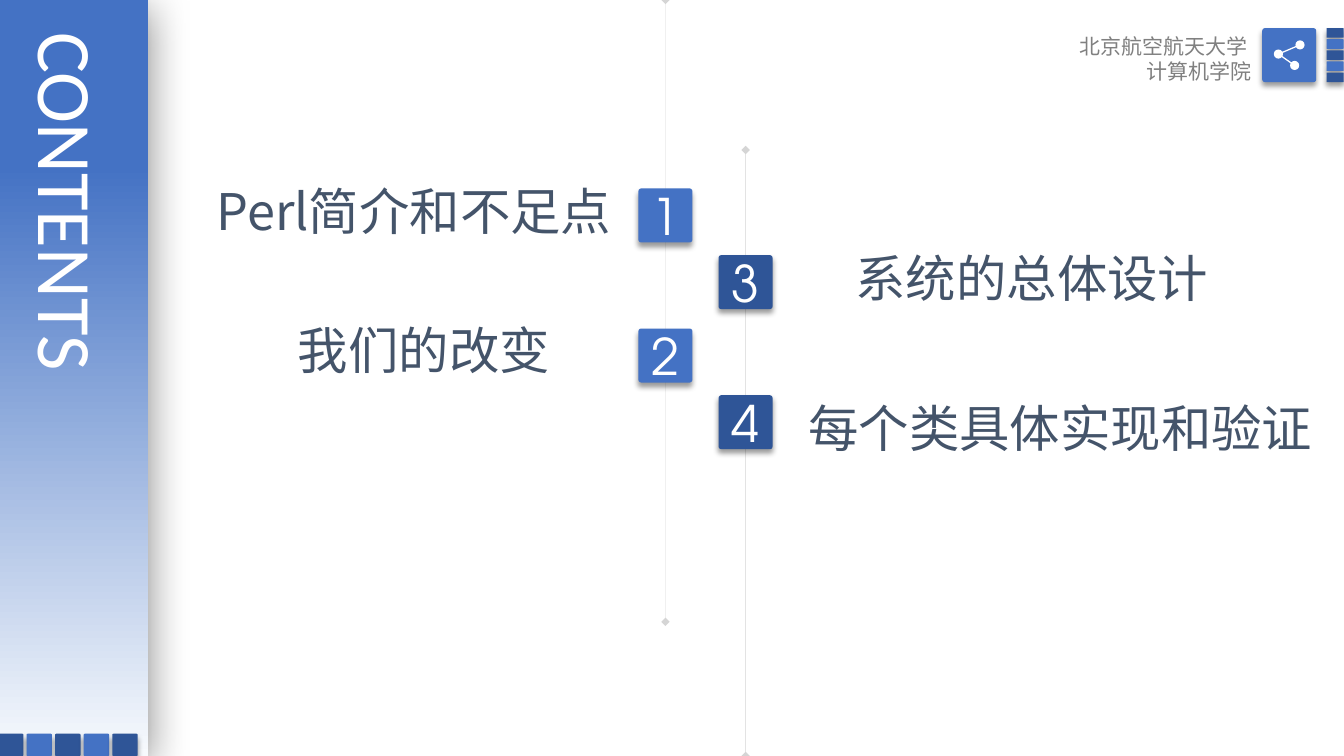
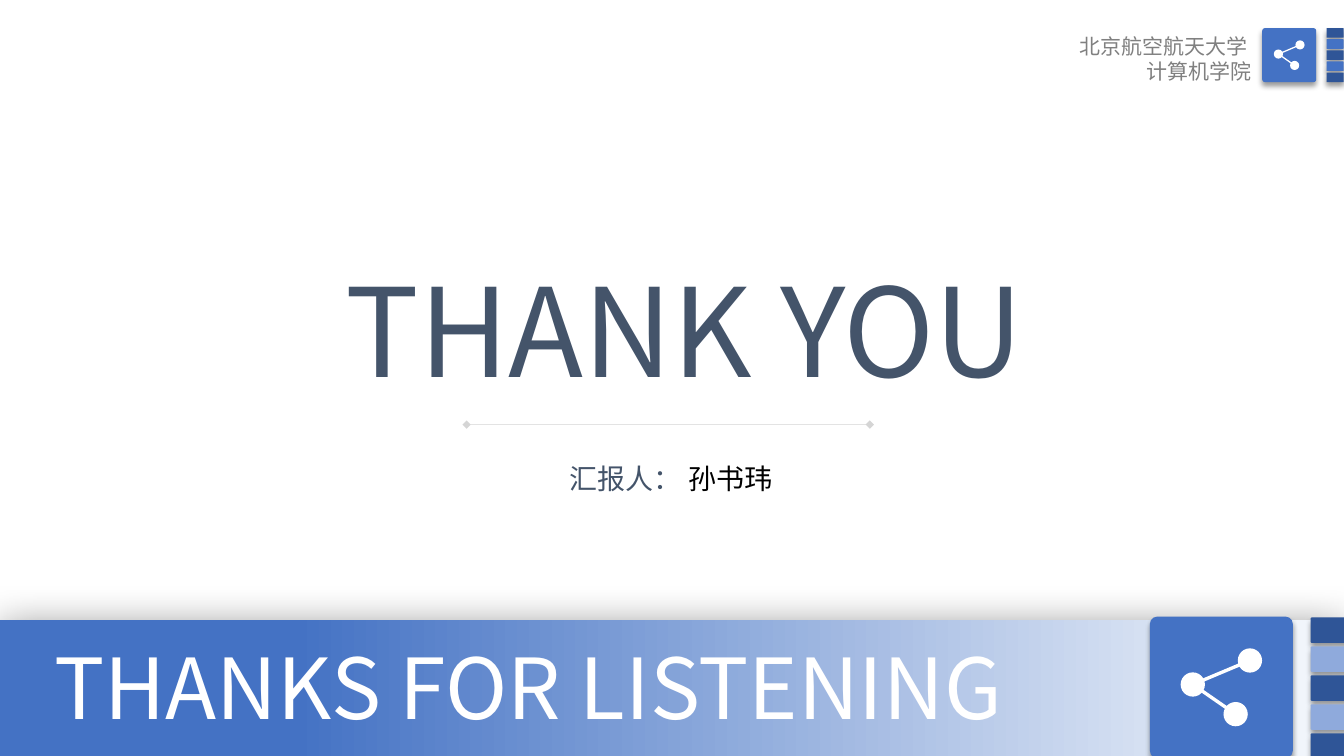
from lxml import etree
from pptx import Presentation
from pptx.dml.color import RGBColor
from pptx.enum.shapes import MSO_CONNECTOR, MSO_SHAPE
from pptx.enum.text import MSO_ANCHOR, MSO_AUTO_SIZE, PP_ALIGN
from pptx.oxml.ns import qn
from pptx.util import Cm, Pt

LEFT, CENTER, RIGHT = PP_ALIGN.LEFT, PP_ALIGN.CENTER, PP_ALIGN.RIGHT
TOP, MIDDLE = MSO_ANCHOR.TOP, MSO_ANCHOR.MIDDLE
NO_AUTOFIT = MSO_AUTO_SIZE.NONE
RECTANGLE, ROUNDED = MSO_SHAPE.RECTANGLE, MSO_SHAPE.ROUNDED_RECTANGLE
OVAL, STRAIGHT = MSO_SHAPE.OVAL, MSO_CONNECTOR.STRAIGHT

SLIDE_WIDTH, SLIDE_HEIGHT = 33.87, 19.05
TITLE_SLIDE_LAYOUT, TITLE_ONLY_LAYOUT = 0, 5
COLORS = {
    "blue": "4472C4",
    "dark": "2F5597",
    "light": "8FAADC",
    "fade": "F7FAFD",
    "text": "44546A",
    "gray": "808080",
    "white": "FFFFFF",
    "black": "000000",
}
CJK_FONT, NUMBER_FONT = "Noto Sans CJK SC", "TeX Gyre Adventor"
INSETS = (0.25, 0.13)
TILE_SHADOW = {"alpha": 40, "blur": 4, "distance": 3, "direction": 90}
BAND_SHADOW = {"alpha": 50, "blur": 31, "distance": 6, "direction": 97}
TILE_SIZE = 1.36
ICON_NODES = [(0.3, 0.48), (0.7, 0.31), (0.6, 0.69)]
ICON_NODE_SIZE = 0.17


def color(name):
    return RGBColor.from_string(COLORS[name])


def add_child(parent, tag, **attributes):
    child = etree.SubElement(parent, qn(tag))
    for name, value in attributes.items():
        child.set(name, str(value))
    return child


def set_shadow(shape, alpha, blur, distance, direction):
    shape.shadow.inherit = False
    effects = shape.element.spPr.find(qn("a:effectLst"))
    shadow = add_child(effects, "a:outerShdw", blurRad=Pt(blur), dist=Pt(distance),
                       dir=direction * 60000, algn="ctr", rotWithShape=0)
    shadow_color = add_child(shadow, "a:srgbClr", val=COLORS["black"])
    add_child(shadow_color, "a:alpha", val=alpha * 1000)


def format_run(run, size, color_name, font=CJK_FONT):
    run.font.size = Pt(size)
    run.font.color.rgb = color(color_name)
    run.font.name = font


def set_east_asian_font(shape):
    for properties in shape.element.iter(qn("a:rPr")):
        add_child(properties, "a:ea", typeface=CJK_FONT)


def write_text(shape, text, size, color_name, font=CJK_FONT, align=LEFT, anchor=TOP, insets=INSETS):
    frame = shape.text_frame
    frame.text = text
    frame.word_wrap = True
    frame.auto_size = NO_AUTOFIT
    frame.vertical_anchor = anchor
    frame.margin_left = frame.margin_right = Cm(insets[0])
    frame.margin_top = frame.margin_bottom = Cm(insets[1])
    for paragraph in frame.paragraphs:
        paragraph.alignment = align
        paragraph.space_before = Pt(0)
        for run in paragraph.runs:
            format_run(run, size, color_name, font)
    set_east_asian_font(shape)


def place(shape, left, top, width, height):
    shape.left, shape.top = Cm(left), Cm(top)
    shape.width, shape.height = Cm(width), Cm(height)


def bring_to_front(shape):
    shape.element.getparent().append(shape.element)


def add_text(slide, box, text, size, color_name, **style):
    shape = slide.shapes.add_textbox(*map(Cm, box))
    write_text(shape, text, size, color_name, **style)


def add_plain_shape(slide, kind, box, color_name):
    shape = slide.shapes.add_shape(kind, *map(Cm, box))
    shape.fill.solid()
    shape.fill.fore_color.rgb = color(color_name)
    shape.line.fill.background()
    shape.shadow.inherit = False
    return shape


def add_tile(slide, box, color_name):
    tile = add_plain_shape(slide, ROUNDED, box, color_name)
    tile.adjustments[0] = 0.05
    set_shadow(tile, **TILE_SHADOW)
    return tile


def add_tile_row(slide, box, step_x, step_y, color_names):
    left, top, width, height = box
    for index in range(5):
        tile_box = (left + index * step_x, top + index * step_y, width, height)
        add_tile(slide, tile_box, color_names[index % 2])


def add_line(slide, start, end, color_name, width):
    line = slide.shapes.add_connector(STRAIGHT, *map(Cm, start + end))
    line.line.color.rgb = color(color_name)
    line.line.width = Pt(width)
    add_child(line.element.spPr, "a:effectLst")
    return line


def add_diamond_line(slide, start, end):
    line = add_line(slide, start, end, "gray", 0.25)
    outline = line.element.spPr.find(qn("a:ln"))
    add_child(outline.find(".//" + qn("a:srgbClr")), "a:alpha", val=33000)
    add_child(outline, "a:headEnd", type="diamond")
    add_child(outline, "a:tailEnd", type="diamond")


def add_share_icon(slide, box):
    left, top, width, height = box
    add_tile(slide, box, "blue")
    centers = [(left + x * width, top + y * height) for x, y in ICON_NODES]
    for center in centers[1:]:
        add_line(slide, centers[0], center, "white", round(0.66 * width, 1))
    size = ICON_NODE_SIZE * width
    for x, y in centers:
        add_plain_shape(slide, OVAL, (x - size / 2, y - size / 2, size, size), "white")


def add_band(slide, box, angle):
    band = add_plain_shape(slide, RECTANGLE, box, "blue")
    band.fill.gradient()
    band.fill.gradient_angle = angle
    for stop, name, position in zip(band.fill.gradient_stops, ("fade", "blue"), (0, 0.78)):
        stop.color.rgb = color(name)
        stop.position = position
    set_shadow(band, **BAND_SHADOW)


def add_header(slide, left, top):
    add_tile_row(slide, (left + 7.65, top, 0.43, 0.24), 0, 0.28, ("dark", "blue"))
    add_share_icon(slide, (left + 6.03, top, TILE_SIZE, TILE_SIZE))
    add_text(slide, (left, top, 6.02, 1.6), "北京航空航天大学 \n计算机学院", 15, "gray", align=RIGHT)


def add_sidebar(slide, left, top, width, height):
    add_band(slide, (left, top, width, height), 90)
    add_tile_row(slide, (left - 0.05, 18.49, 0.64, 0.56), 0.72, 0, ("dark", "blue"))
    title = slide.shapes.title
    place(title, left + 0.3, top + 0.69, 2.87, 12.55)
    write_text(title, "CONTENTS", 55, "white", font="Calibri")
    title.text_frame._txBody.bodyPr.set("vert", "eaVert")
    bring_to_front(title)


def add_agenda_column(slide, center, line_span, first_top, color_name, entries):
    add_diamond_line(slide, (center, line_span[0]), (center, line_span[1]))
    for index, (number, label, label_box) in enumerate(entries):
        top = first_top + index * 3.53
        tile = add_tile(slide, (center - TILE_SIZE / 2, top, TILE_SIZE, TILE_SIZE), color_name)
        write_text(tile, number, 36, "white", font=NUMBER_FONT, align=CENTER,
                   anchor=MIDDLE, insets=(0, 0))
        left, offset, width = label_box
        add_text(slide, (left, top + offset, width, 1.8), label, 36, "text")


def add_closing_band(slide, left, top, width, height):
    add_band(slide, (left, top, width, height), 180)
    add_tile_row(slide, (left + 33.03, top - 0.06, 1.02, 0.64), 0, 0.73, ("dark", "light"))
    add_text(slide, (left + 1.12, top + 0.26, 27.86, 2.82), "THANKS FOR LISTENING", 60, "white")
    add_share_icon(slide, (left + 28.98, top - 0.08, 3.6, 3.56))


def build_contents(presentation):
    slide = presentation.slides.add_slide(presentation.slide_layouts[TITLE_ONLY_LAYOUT])
    add_sidebar(slide, 0, 0, 3.73, SLIDE_HEIGHT)
    add_agenda_column(slide, 16.77, (0, 15.67), 4.75, "blue", [
        ("1", "Perl简介和不足点", (5.21, -0.33, 10.49)),
        ("2", "我们的改变", (7.26, -0.38, 6.93)),
    ])
    add_agenda_column(slide, 18.79, (3.78, SLIDE_HEIGHT), 6.43, "dark", [
        ("3", "系统的总体设计", (21.31, -0.33, 9.63)),
        ("4", "每个类具体实现和验证", (20.12, -0.08, 13.34)),
    ])
    add_header(slide, 25.78, 0.71)


def build_closing(presentation):
    slide = presentation.slides.add_slide(presentation.slide_layouts[TITLE_SLIDE_LAYOUT])
    title, presenter = slide.placeholders
    place(title, 8.46, 6.27, 19.13, 4.01)
    write_text(title, "THANK YOU", 88, "text")
    place(presenter, 14.05, 11.63, 5.72, 1.12)
    write_text(presenter, "汇报人：", 20, "text", align=CENTER, insets=(0, 0))
    name = presenter.text_frame.paragraphs[0].add_run()
    name.text = " 孙书玮"
    format_run(name, 20, "black", "Arial")
    add_child(name.font._element if hasattr(name.font, "_element") else name._r.rPr,
              "a:ea", typeface=CJK_FONT)
    add_diamond_line(slide, (11.76, 10.7), (21.92, 10.7))
    add_header(slide, 25.78, 0.71)
    add_closing_band(slide, 0, 15.62, SLIDE_WIDTH, 3.43)


def main():
    presentation = Presentation()
    presentation.slide_width = Cm(SLIDE_WIDTH)
    presentation.slide_height = Cm(SLIDE_HEIGHT)
    build_contents(presentation)
    build_closing(presentation)
    presentation.save("out.pptx")


if __name__ == "__main__":
    main()
